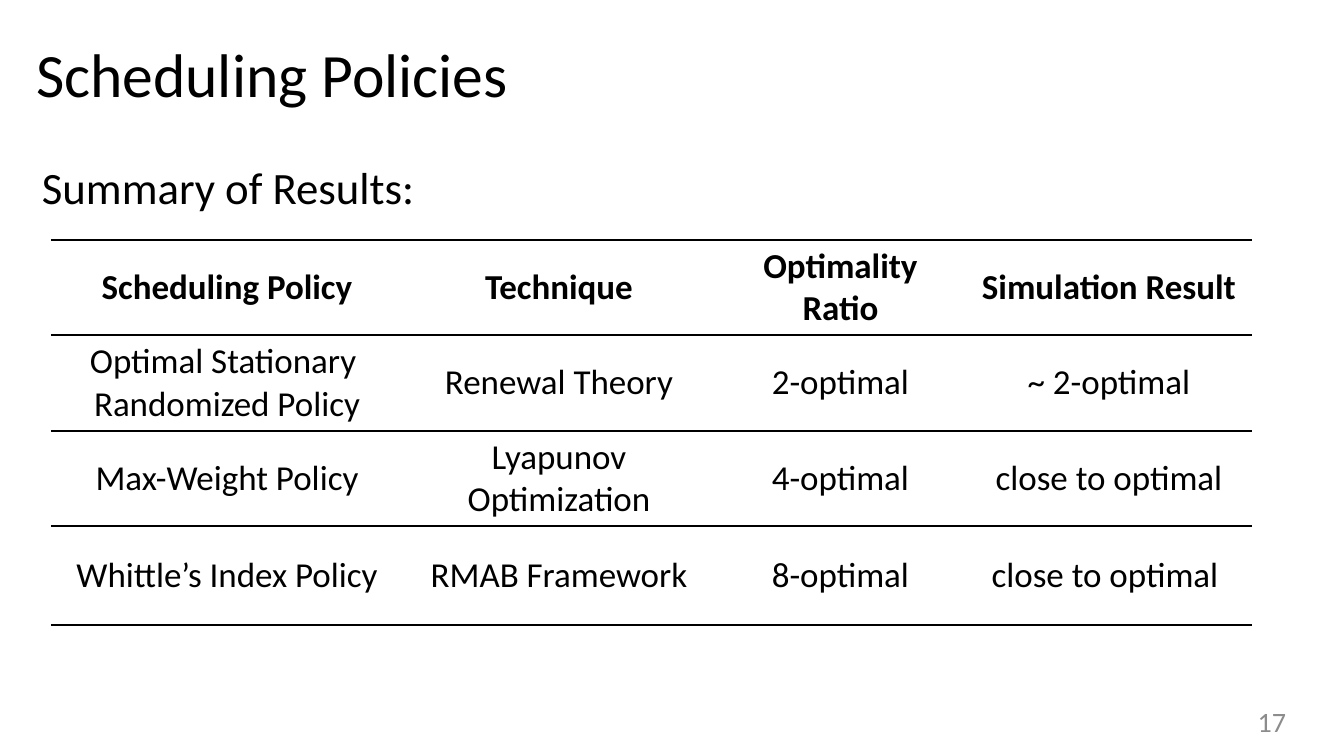
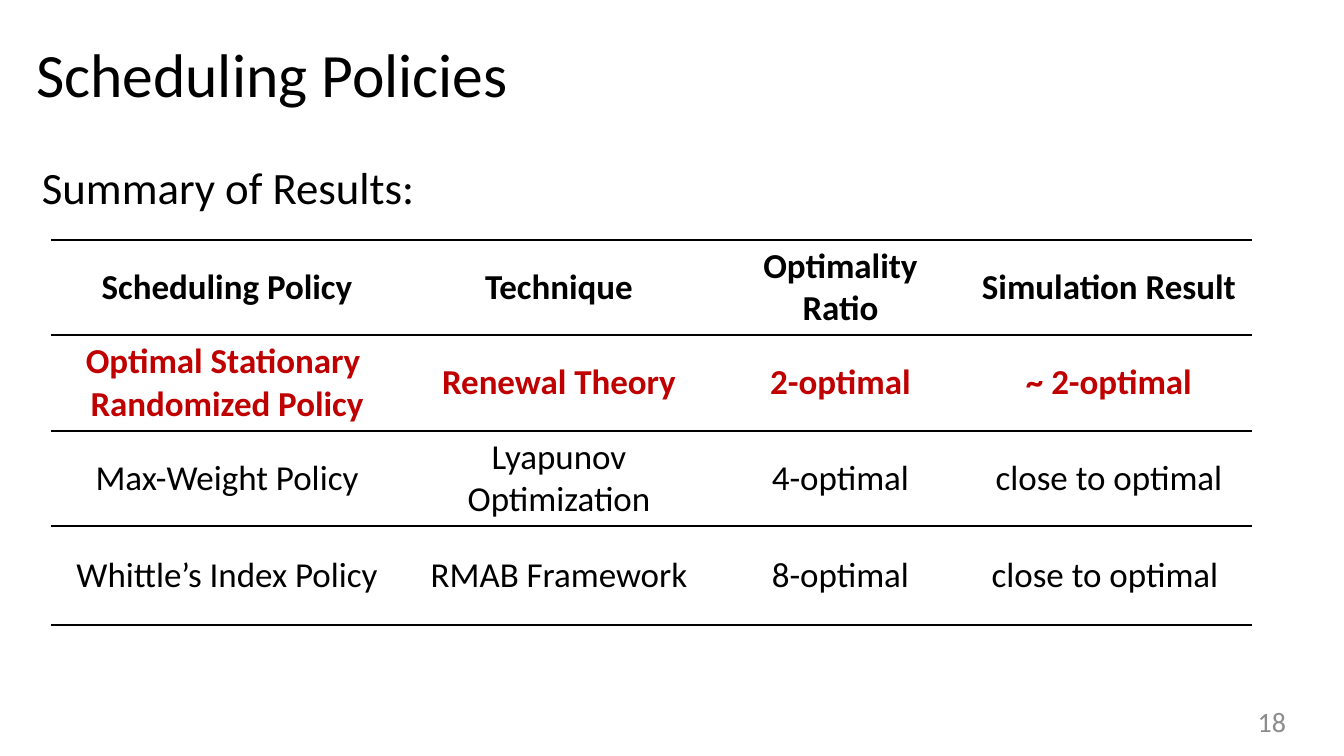
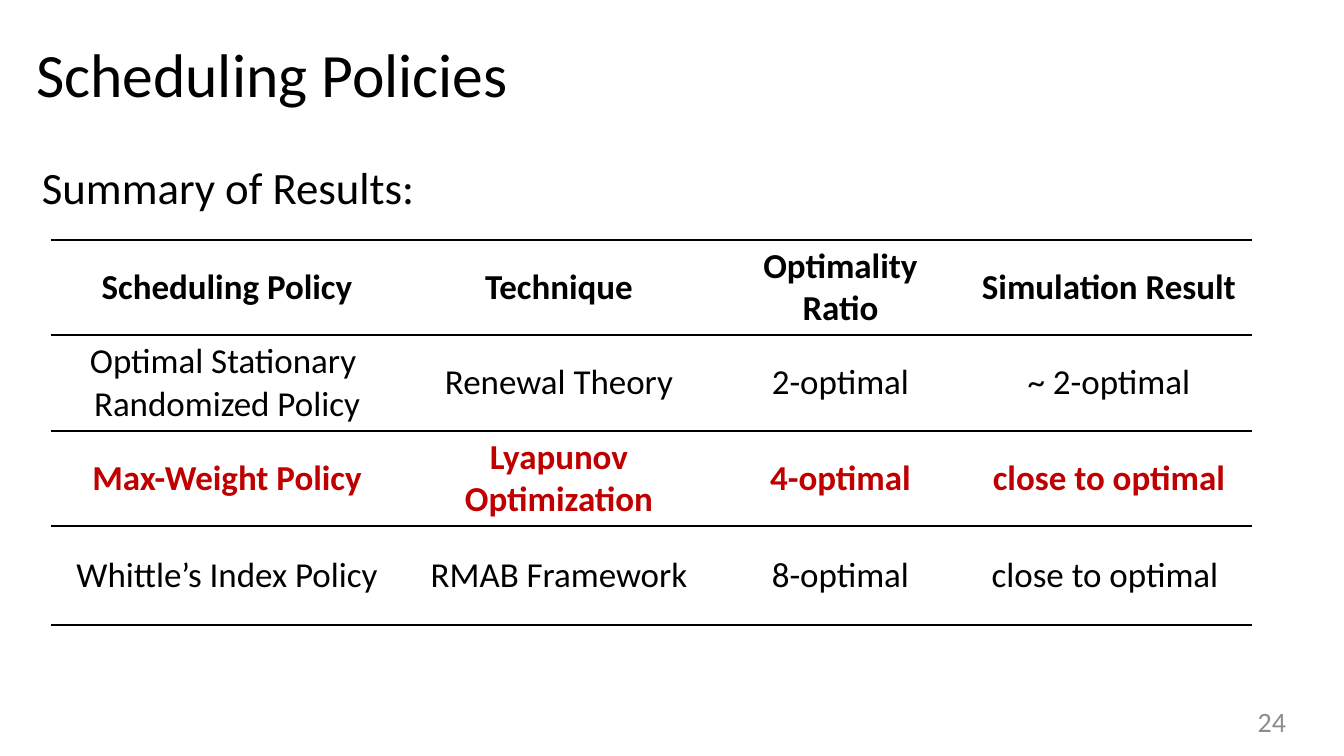
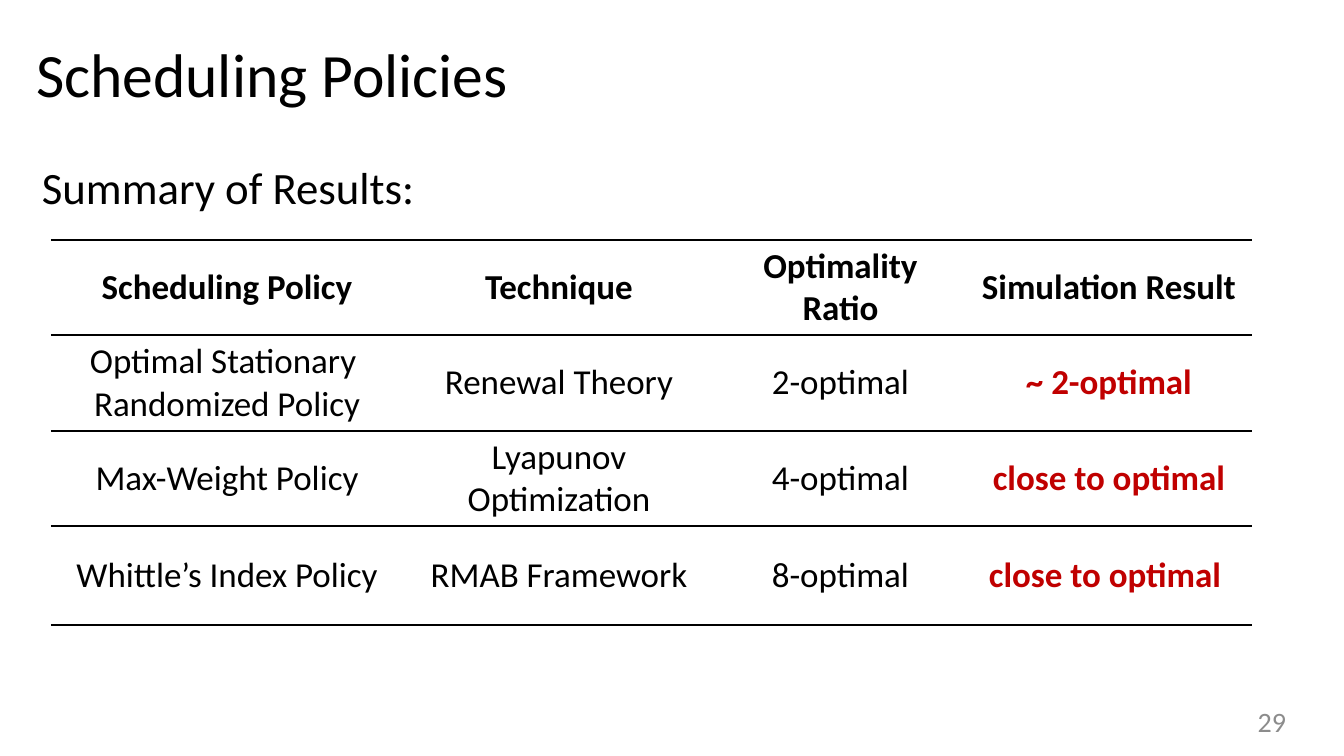
from dataclasses import dataclass

from pptx import Presentation
from pptx.dml.color import RGBColor
from pptx.enum.text import MSO_ANCHOR, PP_ALIGN
from pptx.oxml.ns import qn
from pptx.util import Emu, Pt
from lxml import etree

LEFT, CENTER, RIGHT = PP_ALIGN.LEFT, PP_ALIGN.CENTER, PP_ALIGN.RIGHT
TOP, MIDDLE = MSO_ANCHOR.TOP, MSO_ANCHOR.MIDDLE
TITLE_ONLY = 5


@dataclass(frozen=True)
class Theme:
    font: str = "Calibri"
    text: str = "000000"
    accent: str = "C00000"
    muted: str = "8C8C8C"
    title_size: int = 44
    lead_size: int = 32
    table_size: int = 25
    number_size: int = 20
    thick_rule: float = 2.25
    thin_rule: float = 1


THEME = Theme()

SLIDE_SIZE = (1344, 756)
TITLE_BOX = (26, 22, 1292, 111)
LEAD_BOX = (32, 161, 1265, 60)
TABLE_BOX = (51, 240, 1201, 385)
NUMBER_BOX = (994, 701, 302, 40)

COL_WIDTHS = (352, 312, 251, 286)
ROW_HEIGHTS = (95, 96, 95, 99)
RESULTS = (
    ("Scheduling Policy", "Technique", "Optimality Ratio", "Simulation Result"),
    ("Optimal Stationary \nRandomized Policy", "Renewal Theory", "2-optimal", "~ 2-optimal"),
    ("Max-Weight Policy", "Lyapunov Optimization", "4-optimal", "close to optimal"),
    ("Whittle’s Index Policy", "RMAB Framework", "8-optimal", "close to optimal "),
)

# Page number, and the (row, column) cells stressed on that page
PAGES = (
    (17, set()),
    (18, {(1, c) for c in range(4)}),
    (24, {(2, c) for c in range(4)}),
    (29, {(r, 3) for r in range(1, 4)}),
)


def px(n):
    return Emu(round(n * 914400 / 100.8))


def write(tf, text, size, color=THEME.text, bold=False, align=LEFT, line_spacing=None):
    tf.text = text
    for p in tf.paragraphs:
        p.alignment = align
        p.line_spacing = line_spacing
        for r in p.runs:
            font = r.font
            font.name, font.size, font.bold = THEME.font, Pt(size), bold
            font.color.rgb = RGBColor.from_string(color)


def add_title(slide, box, text):
    title = slide.shapes.title
    title.left, title.top, title.width, title.height = map(px, box)
    tf = title.text_frame
    tf.vertical_anchor = MIDDLE
    write(tf, text, THEME.title_size, line_spacing=0.9)


def add_text(slide, box, text, size, anchor=TOP, **style):
    tf = slide.shapes.add_textbox(*map(px, box)).text_frame
    tf.word_wrap = True
    tf.vertical_anchor = anchor
    write(tf, text, size, **style)
    return tf


def add_lead(slide, box, text):
    tf = add_text(slide, box, text, THEME.lead_size, line_spacing=0.9)
    p = tf.paragraphs[0]
    p.space_before, p.space_after = Pt(10), Pt(12)


def set_borders(cell, top, bottom):
    """Rule the cell above and below, with widths in points, and leave its sides open."""
    tc_pr = cell._tc.get_or_add_tcPr()
    for tag, width in (("a:lnL", 0), ("a:lnR", 0), ("a:lnT", top), ("a:lnB", bottom)):
        ln = etree.SubElement(tc_pr, qn(tag), w=str(Pt(width)))
        if width:
            fill = etree.SubElement(ln, qn("a:solidFill"))
            etree.SubElement(fill, qn("a:srgbClr"), val=THEME.text)
        else:
            etree.SubElement(ln, qn("a:noFill"))


def add_results_table(slide, box, stressed):
    n_rows, n_cols = len(RESULTS), len(COL_WIDTHS)
    table = slide.shapes.add_table(n_rows, n_cols, *map(px, box)).table
    table.first_row = table.horz_banding = False
    for col, width in zip(table.columns, COL_WIDTHS):
        col.width = px(width)
    for row, height in zip(table.rows, ROW_HEIGHTS):
        row.height = px(height)

    # One rule above each row and one below the last
    rules = [THEME.thin_rule] * (n_rows + 1)
    for i in (0, 1, n_rows):
        rules[i] = THEME.thick_rule

    for r, texts in enumerate(RESULTS):
        for c, text in enumerate(texts):
            cell = table.cell(r, c)
            stress = (r, c) in stressed
            set_borders(cell, rules[r], rules[r + 1])
            cell.fill.background()
            cell.vertical_anchor = MIDDLE
            write(cell.text_frame, text, THEME.table_size,
                  color=THEME.accent if stress else THEME.text,
                  bold=r == 0 or stress, align=CENTER)


def add_results_slide(prs, number, stressed):
    slide = prs.slides.add_slide(prs.slide_layouts[TITLE_ONLY])
    add_title(slide, TITLE_BOX, "Scheduling Policies")
    add_lead(slide, LEAD_BOX, "Summary of Results:")
    add_results_table(slide, TABLE_BOX, stressed)
    add_text(slide, NUMBER_BOX, str(number), THEME.number_size, anchor=MIDDLE,
             color=THEME.muted, align=RIGHT)


def main():
    prs = Presentation()
    prs.slide_width, prs.slide_height = map(px, SLIDE_SIZE)
    for number, stressed in PAGES:
        add_results_slide(prs, number, stressed)
    prs.save("out.pptx")


if __name__ == "__main__":
    main()
